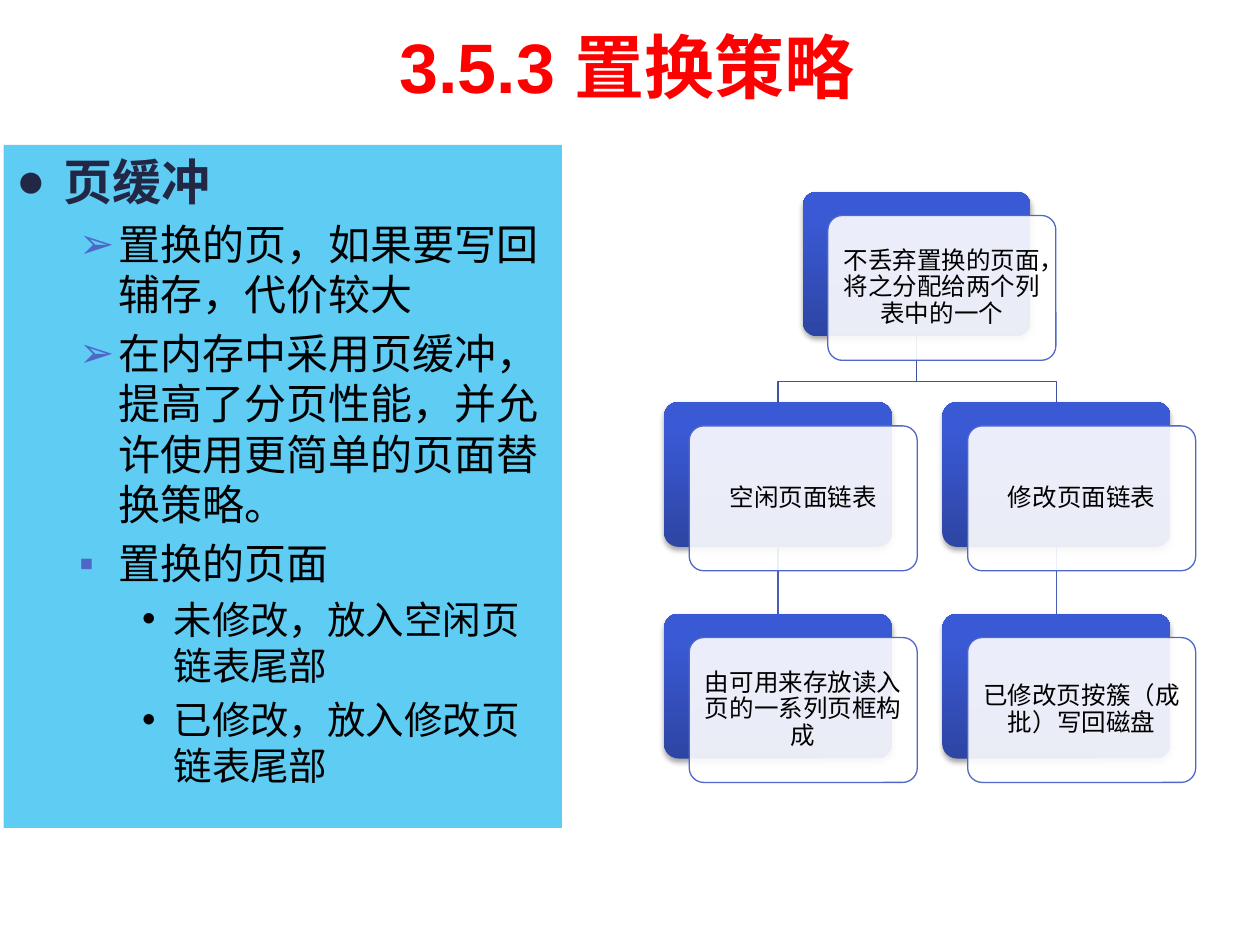
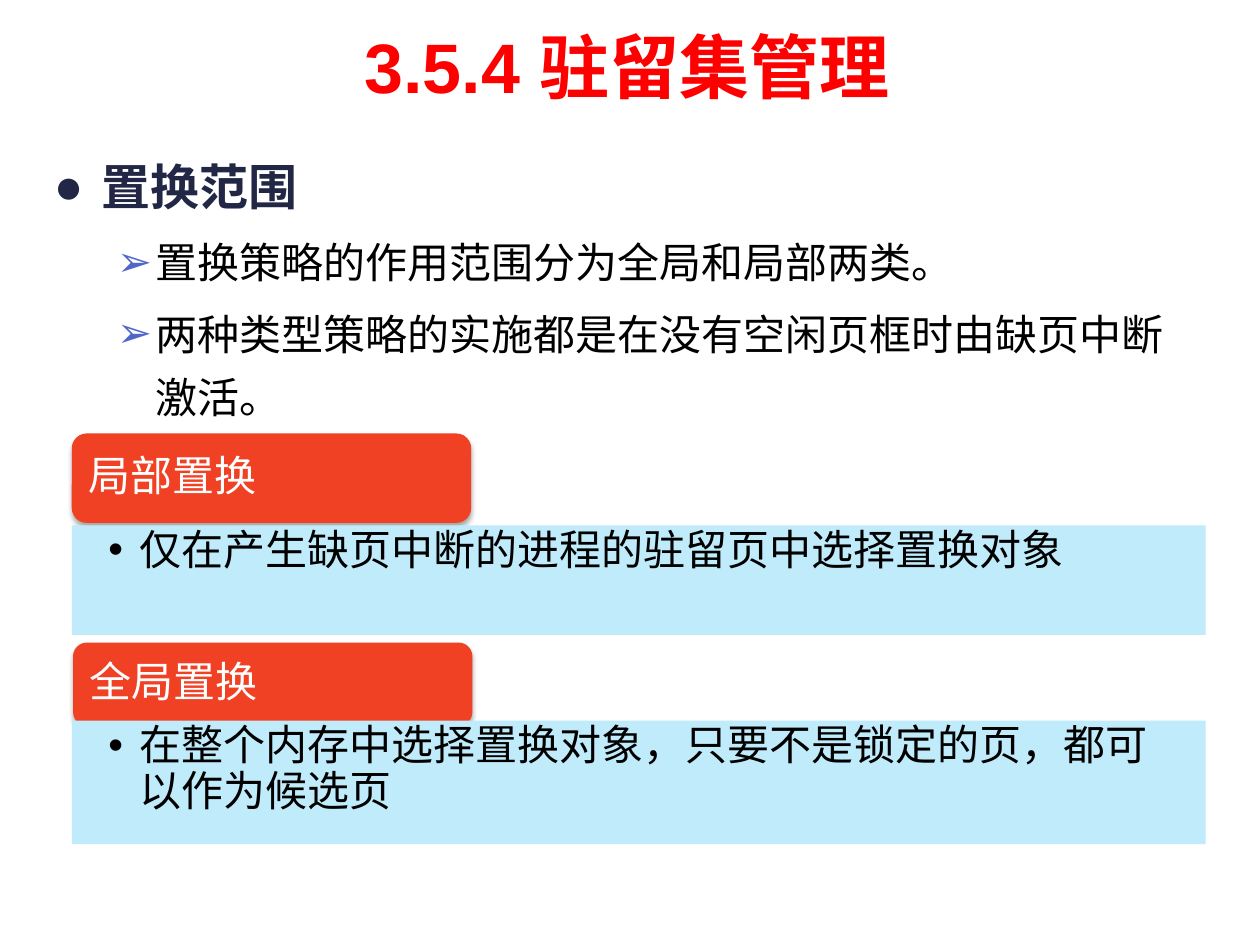
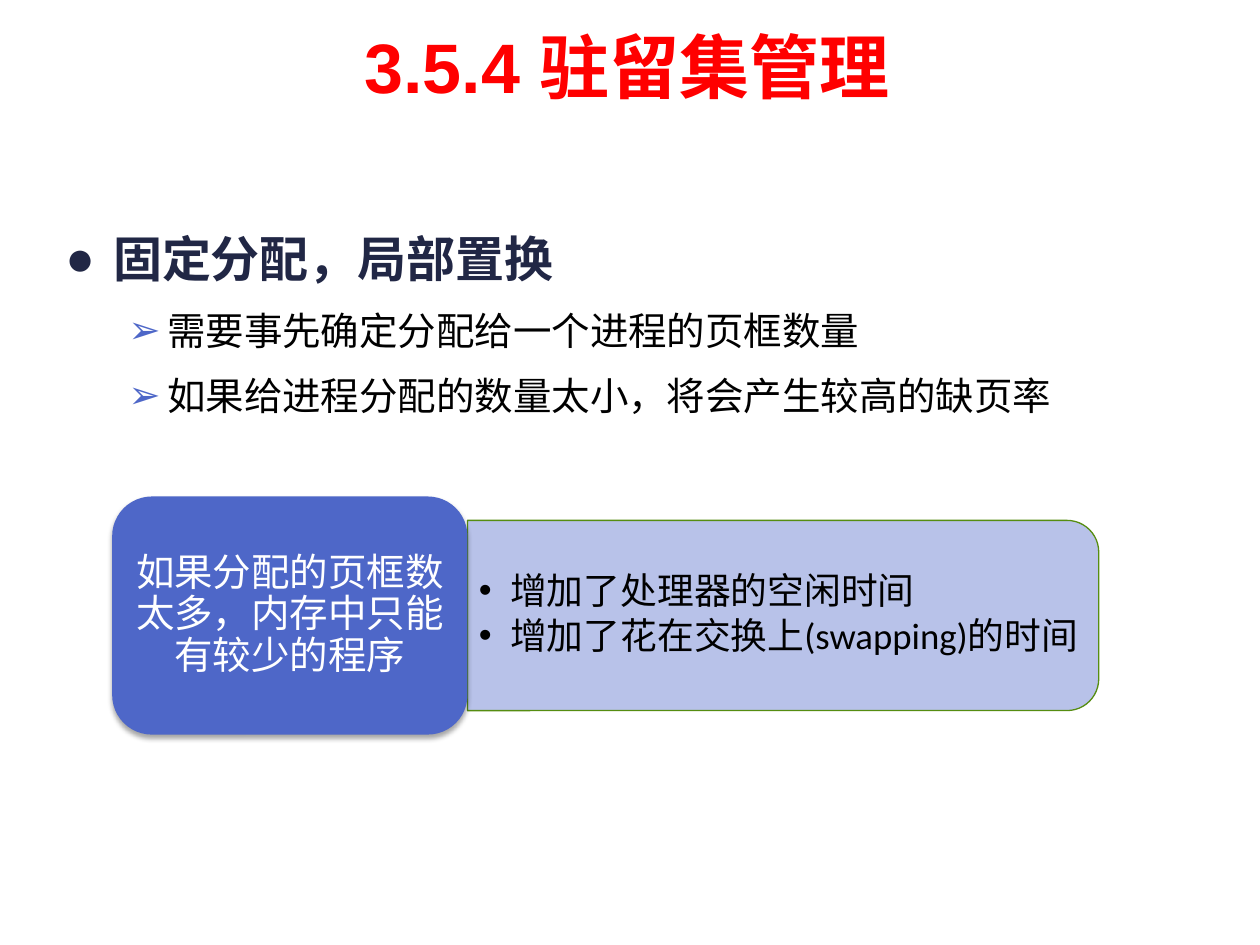
import dataclasses

import lxml.etree
import pptx
import pptx.dml.color
import pptx.enum.shapes
import pptx.enum.text
import pptx.oxml.ns
import pptx.util

Inches = pptx.util.Inches
Pt = pptx.util.Pt
qn = pptx.oxml.ns.qn
Shape = pptx.enum.shapes.MSO_SHAPE
Align = pptx.enum.text.PP_ALIGN
Anchor = pptx.enum.text.MSO_ANCHOR


@dataclasses.dataclass(frozen=True)
class TextStyle:
    size: float
    color: str = "000000"
    font: str = "Arial"
    bold: bool = False
    align: int = Align.LEFT
    line: float = 1.0
    before: float = 0
    after: float = 0
    level: int = 0
    bullet: str = ""
    bullet_color: str = "000000"
    indent: float = 0
    hang: float = 0


@dataclasses.dataclass(frozen=True)
class Theme:
    white: str = "FFFFFF"
    blue: str = "4E67C8"
    navy: str = "212745"
    sky: str = "5ECCF3"
    pale_sky: str = "BFEBFA"
    red: str = "F14124"
    lavender: str = "B8C2E9"
    green: str = "568D11"
    branch: str = "3E52A0"
    stem: str = "475DB6"
    card_gradient: tuple = ((0, "2D45A3"), (80, "3A59D4"), (100, "3758D7"))
    thin: float = 0.75
    title = TextStyle(40, "FF0000", bold=True, align=Align.CENTER)
    heading = TextStyle(28, navy, bold=True, before=5.6, bullet="●",
                        bullet_color=navy, indent=0.38, hang=0.38)
    point = TextStyle(24, before=4.8, level=1, bullet="➢",
                      bullet_color=blue, indent=0.81, hang=0.31)
    detail = TextStyle(22, before=4.4, level=2, bullet="•", indent=1.25, hang=0.25)
    card = TextStyle(14, font="Calibri", align=Align.CENTER, line=0.9)
    label = TextStyle(24, white, "Calibri", line=0.9)
    listed = TextStyle(24, line=0.9, after=4.8, level=1, bullet="•",
                       indent=0.25, hang=0.25)


THEME = Theme()
vary = dataclasses.replace


def rgb(color):
    return pptx.dml.color.RGBColor.from_string(color)


def add_child(parent, tag, **attributes):
    return lxml.etree.SubElement(parent, qn(tag), attributes)


class Builder:
    def __init__(self, theme):
        self.theme = theme
        self.deck = pptx.Presentation()
        self.deck.slide_width = Inches(10)
        self.deck.slide_height = Inches(7.5)
        self.page = None

    def start_page(self, title):
        self.page = self.deck.slides.add_slide(self.deck.slide_layouts[5])
        box = self.page.shapes.title
        box.left, box.top = Inches(1.06), Inches(0.14)
        box.width, box.height = Inches(7.83), Inches(0.62)
        self.fill_text(box, [(title, self.theme.title)])

    def fill_text(self, box, lines, margins=(0.1, 0.05, 0.1, 0.05), anchor=Anchor.TOP):
        """Fill a box with (text, style) paragraphs."""
        frame = box.text_frame
        frame.word_wrap = True
        frame.auto_size = pptx.enum.text.MSO_AUTO_SIZE.NONE
        frame.vertical_anchor = anchor
        (frame.margin_left, frame.margin_top,
         frame.margin_right, frame.margin_bottom) = map(Inches, margins)
        for index, (text, style) in enumerate(lines):
            para = frame.add_paragraph() if index else frame.paragraphs[0]
            para.text = text
            self.style_paragraph(para, style)

    def style_paragraph(self, para, style):
        para.alignment = style.align
        para.level = style.level
        para.line_spacing = style.line
        para.space_before = Pt(style.before)
        para.space_after = Pt(style.after)
        if style.bullet:
            properties = para._p.get_or_add_pPr()
            properties.set("marL", str(Inches(style.indent)))
            properties.set("indent", str(-Inches(style.hang)))
            color = add_child(properties, "a:buClr")
            add_child(color, "a:srgbClr", val=style.bullet_color)
            add_child(properties, "a:buFont", typeface="Arial")
            add_child(properties, "a:buChar", char=style.bullet)
        para.font.name = style.font
        para.font.size = Pt(style.size)
        para.font.bold = style.bold
        para.font.color.rgb = rgb(style.color)

    def text(self, left, top, width, height, lines, **layout):
        box = self.page.shapes.add_textbox(*map(Inches, (left, top, width, height)))
        self.fill_text(box, lines, **layout)

    def shape(self, kind, left, top, width, height, fill, line=None, shadow=False):
        shape = self.page.shapes.add_shape(kind, *map(Inches, (left, top, width, height)))
        shape.fill.solid()
        shape.fill.fore_color.rgb = rgb(fill)
        self.outline(shape, line)
        if shadow:
            effects = shape._element.spPr.find(qn("a:effectLst"))
            outer = add_child(effects, "a:outerShdw", blurRad=str(Pt(3.1)),
                              dist=str(Pt(1.8)), dir="5400000", rotWithShape="0")
            color = add_child(outer, "a:srgbClr", val="000000")
            add_child(color, "a:alpha", val="35000")
        return shape

    def outline(self, shape, color):
        if color:
            shape.line.color.rgb = rgb(color)
            shape.line.width = Pt(self.theme.thin)
        else:
            shape.line.fill.background()
        shape.shadow.inherit = False

    def gradient(self, shape, stops):
        """Run the colour stops from bottom to top."""
        shape.fill.gradient()
        shape.fill.gradient_angle = 90
        stop_list = shape._element.spPr.find(qn("a:gradFill")).find(qn("a:gsLst"))
        for stop in list(stop_list):
            stop_list.remove(stop)
        for position, color in stops:
            stop = add_child(stop_list, "a:gs", pos=str(position * 1000))
            add_child(stop, "a:srgbClr", val=color)

    def stem(self, x, top, bottom):
        line = self.page.shapes.add_connector(
            pptx.enum.shapes.MSO_CONNECTOR.STRAIGHT,
            *map(Inches, (x, top, x, bottom)))
        line.line.color.rgb = rgb(self.theme.stem)
        line.line.width = Pt(self.theme.thin)
        add_child(line._element.spPr, "a:effectLst")

    def branch(self, points):
        corners = [(Inches(x), Inches(y)) for x, y in points]
        builder = self.page.shapes.build_freeform(*corners[0])
        builder.add_line_segments(corners[1:], close=False)
        shape = builder.convert_to_shape()
        shape.fill.background()
        self.outline(shape, self.theme.branch)

    def tree_card(self, left, top, width, height, text):
        """Gradient card with a translucent white card laid over it."""
        back = self.shape(Shape.ROUNDED_RECTANGLE, left, top, width, height,
                          self.theme.blue, shadow=True)
        self.gradient(back, self.theme.card_gradient)
        front = self.shape(Shape.ROUNDED_RECTANGLE, left + 0.2, top + 0.19,
                           width, height, self.theme.white, self.theme.blue)
        color = front._element.spPr.find(qn("a:solidFill")).find(qn("a:srgbClr"))
        add_child(color, "a:alpha", val="90000")
        for card in (back, front):
            card.adjustments[0] = 0.1
        self.fill_text(front, [(text, self.theme.card)], (0.06,) * 4, Anchor.MIDDLE)


def build_page_buffering(builder):
    theme = builder.theme
    builder.start_page("3.5.3 置换策略")
    panel = builder.shape(Shape.RECTANGLE, 0.03, 1.15, 4.43, 5.42, theme.sky)
    builder.fill_text(panel, [
        ("页缓冲", theme.heading),
        ("置换的页，如果要写回辅存，代价较大", theme.point),
        ("在内存中采用页缓冲，提高了分页性能，并允许使用更简单的页面替换策略。", theme.point),
        ("置换的页面", vary(theme.point, bullet="▪")),
        ("未修改，放入空闲页链表尾部", theme.detail),
        ("已修改，放入修改页链表尾部", theme.detail),
    ])

    width, height = 1.81, 1.15
    root_left, columns = 6.37, (5.27, 7.48)
    rows = (1.52, 3.19, 4.87)
    root_center = root_left + width / 2
    for left in columns:
        center = left + width / 2
        builder.stem(center, rows[1] + height, rows[2])
        builder.branch([(root_center, rows[0] + height), (root_center, 3.03),
                        (center, 3.03), (center, rows[1])])
    cards = [
        (root_left, rows[0], "不丢弃置换的页面，将之分配给两个列表中的一个"),
        (columns[0], rows[1], "空闲页面链表"),
        (columns[0], rows[2], "由可用来存放读入页的一系列页框构成"),
        (columns[1], rows[1], "修改页面链表"),
        (columns[1], rows[2], "已修改页按簇（成批）写回磁盘"),
    ]
    for left, top, text in cards:
        builder.tree_card(left, top, width, height, text)


def build_replacement_scope(builder):
    theme = builder.theme
    point = vary(theme.point, line=1.25)
    builder.start_page("3.5.4 驻留集管理")
    builder.text(0.33, 1.08, 9.24, 5.67, [
        ("置换范围", vary(theme.heading, font="Calibri", line=1.25)),
        ("置换策略的作用范围分为全局和局部两类。", point),
        ("两种类型策略的实施都是在没有空闲页框时由缺页中断激活。", point),
    ])
    scopes = [
        ("局部置换", (0.57, 3.44, 3.17, 0.71),
         "仅在产生缺页中断的进程的驻留页中选择置换对象", (0.57, 4.17, 9, 0.87), "Arial"),
        ("全局置换", (0.58, 5.1, 3.17, 0.66),
         "在整个内存中选择置换对象，只要不是锁定的页，都可以作为候选页",
         (0.57, 5.72, 9, 0.98), "Calibri"),
    ]
    for name, name_frame, meaning, meaning_frame, font in scopes:
        label = builder.shape(Shape.ROUNDED_RECTANGLE, *name_frame, theme.red, shadow=True)
        builder.fill_text(label, [(name, theme.label)], (0.1,) * 4, Anchor.MIDDLE)
        band = builder.shape(Shape.RECTANGLE, *meaning_frame, theme.pale_sky)
        builder.fill_text(band, [(meaning, vary(theme.listed, font=font))],
                          (0.29, 0.03, 0.19, 0.03))


def build_fixed_allocation(builder):
    theme = builder.theme
    point = vary(theme.point, size=22, before=4.4, line=1.25)
    effect = vary(theme.listed, size=21, font="Calibri", after=3.15)
    builder.start_page("3.5.4 驻留集管理")
    builder.text(0.42, 1.65, 9, 5.25, [
        ("固定分配，局部置换", vary(theme.heading, font="Calibri", line=1.25)),
        ("需要事先确定分配给一个进程的页框数量", point),
        ("如果给进程分配的数量太小，将会产生较高的缺页率", point),
    ])
    effects = builder.shape(Shape.ROUND_2_SAME_RECTANGLE, 5.46, 2.38, 1.51, 5.01,
                            theme.lavender, theme.green)
    effects.rotation = 90
    builder.text(3.71, 4.2, 4.94, 1.36, [
        ("增加了处理器的空闲时间", effect),
        ("增加了花在交换上(swapping)的时间", effect),
    ], margins=(0.09, 0.04, 0.09, 0.04), anchor=Anchor.MIDDLE)
    cause = builder.shape(Shape.ROUNDED_RECTANGLE, 0.89, 3.94, 2.82, 1.89,
                          theme.blue, shadow=True)
    builder.fill_text(cause, [("如果分配的页框数太多，内存中只能有较少的程序",
                               vary(theme.label, size=22, align=Align.CENTER))],
                      (0.09, 0.05, 0.09, 0.05), Anchor.MIDDLE)


def main():
    builder = Builder(THEME)
    build_page_buffering(builder)
    build_replacement_scope(builder)
    build_fixed_allocation(builder)
    builder.deck.save("out.pptx")


if __name__ == "__main__":
    main()
